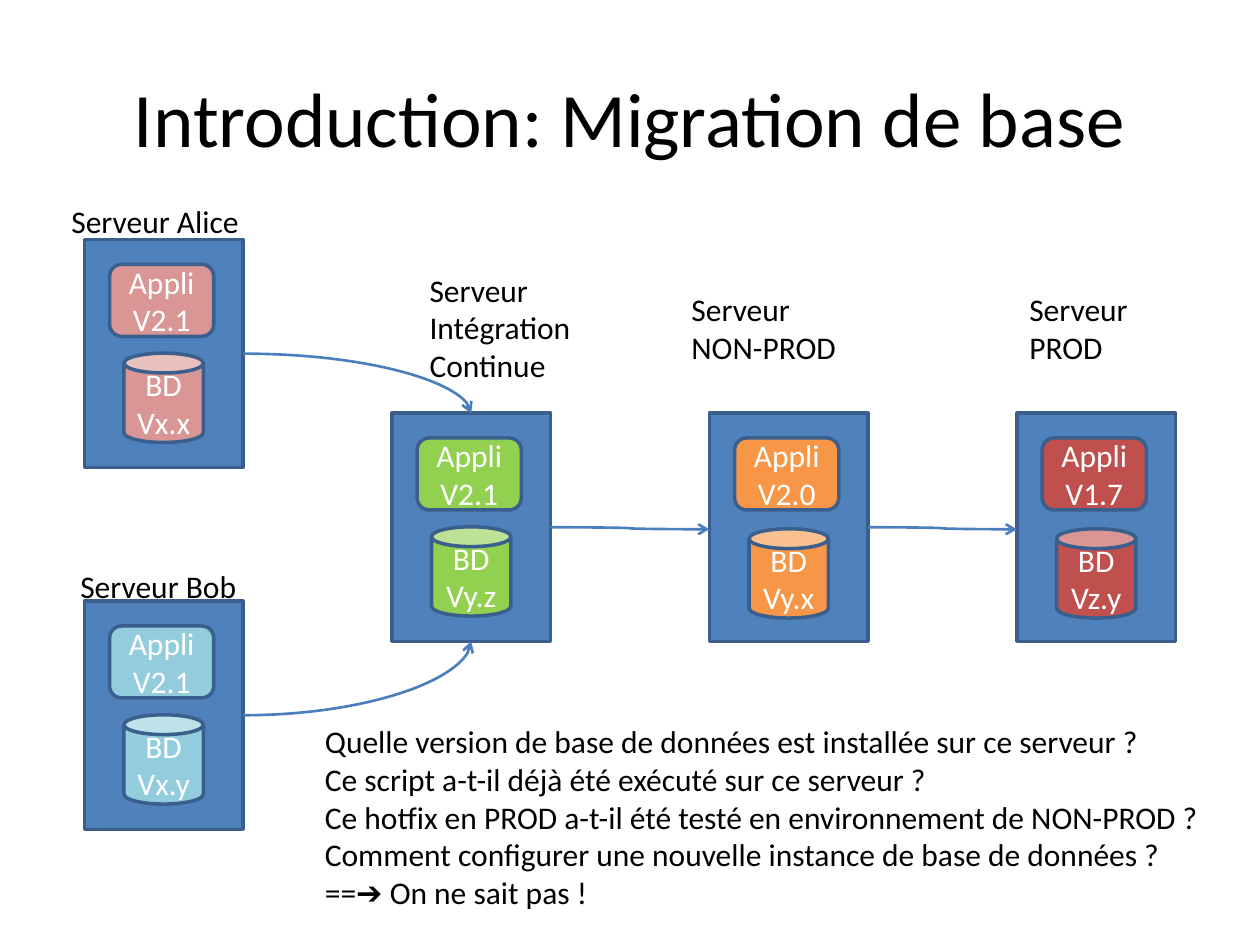
from lxml.etree import SubElement
from pptx import Presentation
from pptx.dml.color import RGBColor
from pptx.enum.shapes import MSO_CONNECTOR as Link, MSO_SHAPE as Shape
from pptx.enum.text import MSO_ANCHOR as Anchor, MSO_AUTO_SIZE as AutoSize, PP_ALIGN as Align
from pptx.oxml.ns import qn
from pptx.util import Cm, Pt

color = RGBColor.from_string


def write(shape, lines, size, hex_color, align):
    frame = shape.text_frame
    frame.word_wrap = True
    frame.text = "\n".join(lines)
    for para in frame.paragraphs:
        para.alignment = align
        para.font.name = "Calibri"
        para.font.size = Pt(size)
        para.font.color.rgb = color(hex_color)


def add_block(kind, left, top, width, height, fill, lines):
    block = slide.shapes.add_shape(kind, Cm(left), Cm(top), Cm(width), Cm(height))
    block.shadow.inherit = False
    block.fill.solid()
    block.fill.fore_color.rgb = color(fill)
    block.line.color.rgb = color("3A5F8C")
    block.line.width = Pt(2)
    block.text_frame.vertical_anchor = Anchor.MIDDLE
    if lines:
        write(block, lines, 18, "FFFFFF", Align.CENTER)


deck = Presentation()
deck.slide_width, deck.slide_height = Cm(25.4), Cm(19.05)
slide = deck.slides.add_slide(deck.slide_layouts[5])

title = slide.shapes.title
title.left, title.top, title.width, title.height = Cm(1.27), Cm(0.76), Cm(22.86), Cm(3.18)
title.text_frame.vertical_anchor = Anchor.MIDDLE
write(title, ["Introduction: Migration de base"], 44, "000000", Align.CENTER)

server_width, server_height = 3.2, 4.6
alice_top, bob_top, chain_top = 4.83, 12.12, 8.33
dev_left, integration_left, staging_left, prod_left = 1.7, 7.9, 14.3, 20.5

servers = [
    (dev_left, alice_top, "D99694", "V2.1", "Vx.x", 2.29),
    (dev_left, bob_top, "93CDDD", "V2.1", "Vx.y", 2.29),
    (integration_left, chain_top, "92D050", "V2.1", "Vy.z", 2.29),
    (staging_left, chain_top, "F79646", "V2.0", "Vy.x", 2.33),
    (prod_left, chain_top, "C0504D", "V1.7", "Vz.y", 2.33),
]
for left, top, fill, app_version, base_version, base_offset in servers:
    add_block(Shape.RECTANGLE, left, top, server_width, server_height, "4F81BD", [])
    add_block(Shape.CAN, left + 0.8, top + base_offset, 1.6, 1.8, fill, ["BD", base_version])
    add_block(Shape.ROUNDED_RECTANGLE, left + 0.51, top + 0.5, 2.1, 1.45, fill,
              ["Appli", app_version])

dev_right = dev_left + server_width
integration_middle = integration_left + server_width / 2
half = server_height / 2
flow = chain_top + half
links = [
    ("curvedConnector2", dev_right, alice_top + half, integration_middle, chain_top),
    ("curvedConnector2", dev_right, bob_top + half, integration_middle, chain_top + server_height),
    ("curvedConnector3", integration_left + server_width, flow, staging_left, flow + 0.04),
    ("curvedConnector3", staging_left + server_width, flow, prod_left, flow + 0.04),
]
for preset, *ends in links:
    link = slide.shapes.add_connector(Link.CURVE, *[Cm(end) for end in ends])
    link.line.color.rgb = color("4B7EBC")
    link.line.width = Pt(1.5)
    properties = link._element.spPr
    properties.find(qn("a:prstGeom")).set("prst", preset)
    SubElement(link.line._get_or_add_ln(), qn("a:tailEnd"), type="arrow")
    SubElement(properties, qn("a:effectLst"))

texts = [
    (1.19, 3.94, 4.4, 1.03, ["Serveur Alice"]),
    (1.37, 11.3, 4.4, 1.03, ["Serveur Bob"]),
    (8.41, 5.33, 4.4, 2.56, ["Serveur Intégration Continue"]),
    (13.69, 5.72, 4.4, 1.8, ["Serveur", "NON-PROD"]),
    (20.5, 5.72, 4.4, 1.8, ["Serveur", "PROD"]),
    (6.3, 14.43, 19, 4.1, [
        "Quelle version de base de données est installée sur ce serveur ?",
        "Ce script a-t-il déjà été exécuté sur ce serveur ?",
        "Ce hotfix en PROD a-t-il été testé en environnement de NON-PROD ?",
        "Comment configurer une nouvelle instance de base de données ?",
        "==➔ On ne sait pas !",
    ]),
]
for left, top, width, height, lines in texts:
    box = slide.shapes.add_textbox(Cm(left), Cm(top), Cm(width), Cm(height))
    box.text_frame.auto_size = AutoSize.SHAPE_TO_FIT_TEXT
    write(box, lines, 18, "000000", Align.LEFT)

deck.save("out.pptx")
